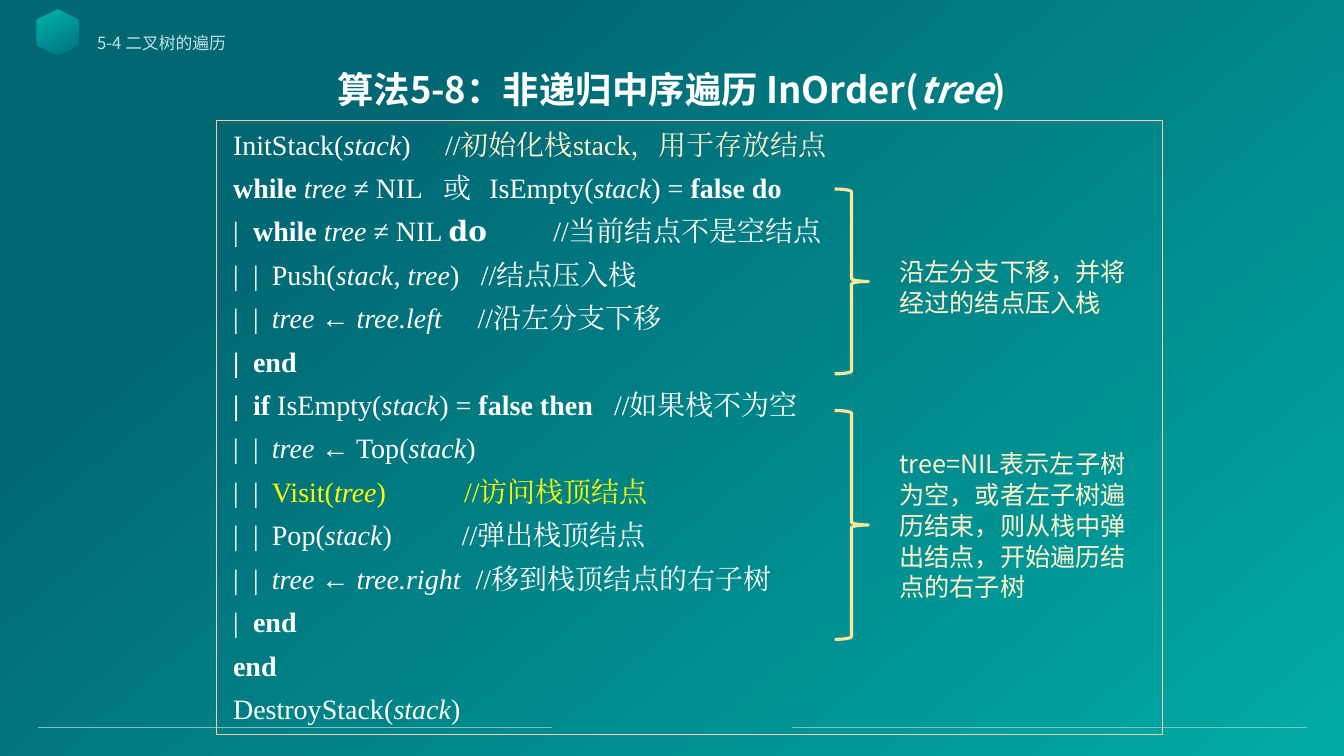
from lxml import etree
from pptx import Presentation
from pptx.dml.color import RGBColor
from pptx.enum.shapes import MSO_CONNECTOR, MSO_SHAPE
from pptx.enum.text import MSO_ANCHOR, PP_ALIGN
from pptx.oxml.ns import qn
from pptx.util import Emu, Pt

STRAIGHT = MSO_CONNECTOR.STRAIGHT
RECTANGLE, HEXAGON, BRACE = MSO_SHAPE.RECTANGLE, MSO_SHAPE.HEXAGON, MSO_SHAPE.RIGHT_BRACE
TOP, MIDDLE = MSO_ANCHOR.TOP, MSO_ANCHOR.MIDDLE
LEFT, CENTER = PP_ALIGN.LEFT, PP_ALIGN.CENTER

SCALE = 9525
SANS, SERIF = "Noto Sans CJK SC", "Times New Roman"
COLORS = {
    "deep": "016773", "teal": "00ABA5", "emblem": "007684", "rule": "7DC2C9",
    "pale": "C1E2E5", "white": "FFFFFF", "cream": "FFF2CC", "yellow": "FFFF00",
    "frame": "F8CBAD", "brace": "FFE699",
}
STYLES = {
    "plain": {}, "bold": {"bold": True}, "italic": {"italic": True},
    "bold italic": {"bold": True, "italic": True},
    "cream": {"color": "cream"}, "yellow": {"color": "yellow"},
    "yellow italic": {"color": "yellow", "italic": True},
}
STACK, TREE = ("stack", "italic"), ("tree", "italic")
TITLE = [("算法5-8：非递归中序遍历 InOrder(", "bold"), ("tree", "bold italic"), (")", "bold")]
GUIDES = [19, 37]
CODE = [
    ([202], ["InitStack(", STACK, ")\t//", ("初始化栈stack，用于存放结点", "cream")]),
    ([200, 244], [("while ", "bold"), ("tree ", "italic"), "≠ NIL\t或\tIsEmpty(", STACK, ") = ",
                  ("false do", "bold")]),
    ([19, 305], ["|\t", ("while ", "bold"), ("tree ", "italic"), "≠ NIL 𝐝𝐨\t//当前结点不是空结点"]),
    (GUIDES + [236], ["|\t|\tPush(", STACK, ", ", TREE, ")\t//结点压入栈"]),
    (GUIDES + [233], ["|\t|\t", TREE, " ← ", ("tree.left", "italic"), "\t//沿左分支下移"]),
    ([19], [("|\tend", "bold")]),
    ([19, 363], [("|\tif ", "bold"), "IsEmpty(", STACK, ") = ", ("false then", "bold"),
                 "\t//如果栈不为空"]),
    (GUIDES, ["|\t|\t", TREE, " ← Top(", STACK, ")"]),
    (GUIDES + [220], ["|\t|\t", ("Visit(", "yellow"), ("tree", "yellow italic"),
                      (")\t//访问栈顶结点", "yellow")]),
    (GUIDES + [218], ["|\t|\tPop(", STACK, ")\t//弹出栈顶结点"]),
    (GUIDES + [231], ["|\t|\t", TREE, " ← ", ("tree.right", "italic"), "\t//移到栈顶结点的右子树"]),
    ([19], ["|\t", ("end", "bold")]),
    ([], [("end", "bold")]),
    ([], ["DestroyStack(", STACK, ")"]),
]
NOTES = [
    ((847, 239, 238, 68), "沿左分支下移，并将经过的结点压入栈"),
    ((847, 422, 238, 156), "tree=NIL表示左子树为空，或者左子树遍历结束，则从栈中弹出结点，开始遍历结点的右子树"),
]


def px(value):
    return Emu(value * SCALE)


def color(name):
    return RGBColor.from_string(COLORS[name])


def set_values(target, values):
    for name, value in values.items():
        setattr(target, name, value)


def add_outline(page, kind, place, line=None, width=1):
    shape = page.shapes.add_shape(kind, *map(px, place))
    shape.shadow.inherit = False
    shape.fill.background()
    if line:
        shape.line.color.rgb = color(line)
        shape.line.width = Pt(width)
    else:
        shape.line.fill.background()
    return shape


def add_gradient(page, kind, place, stops, angle):
    shape = add_outline(page, kind, place)
    shape.fill.gradient()
    shape.fill.gradient_angle = angle
    for stop, (position, name) in zip(shape.fill.gradient_stops, stops):
        stop.position = position
        stop.color.rgb = color(name)
    return shape


def add_rule(page, left, right, y):
    rule = page.shapes.add_connector(STRAIGHT, px(left), px(y), px(right), px(y))
    rule.line.color.rgb = color("rule")
    rule.line.width = Pt(0.5)
    etree.SubElement(rule._element.spPr, qn("a:effectLst"))


def add_tabs(para, stops):
    if stops:
        tabs = etree.SubElement(para._p.get_or_add_pPr(), qn("a:tabLst"))
        for stop in stops:
            etree.SubElement(tabs, qn("a:tab"), pos=str(px(stop)), algn="l")


def add_spans(para, spans, font, size, base):
    for span in spans:
        text, style = (span, "plain") if isinstance(span, str) else span
        values = {"name": font, "size": Pt(size), "color": base, **STYLES[style]}
        run = para.add_run()
        run.text = text
        run.font.color.rgb = color(values.pop("color"))
        set_values(run.font, values)
        etree.SubElement(run._r.get_or_add_rPr(), qn("a:ea"), typeface=font)


def add_text(page, place, spans, size, base, frame_format, para_format):
    box = page.shapes.add_textbox(*map(px, place))
    set_values(box.text_frame, {"word_wrap": True, **frame_format})
    para = box.text_frame.paragraphs[0]
    set_values(para, para_format)
    add_spans(para, spans, SANS, size, base)


def add_code(page, place):
    box = add_outline(page, RECTANGLE, place, "frame", 0.75)
    frame = box.text_frame
    set_values(frame, {"word_wrap": True, "vertical_anchor": TOP,
                       "margin_left": px(16), "margin_top": px(6)})
    for index, (stops, spans) in enumerate(CODE):
        para = frame.add_paragraph() if index else frame.paragraphs[0]
        add_tabs(para, stops)
        set_values(para, {"alignment": LEFT, "line_spacing": Pt(24),
                          "space_before": Pt(1 if index else 0), "space_after": Pt(6)})
        add_spans(para, spans, SERIF, 20, "white")


def main():
    deck = Presentation()
    set_values(deck, {"slide_width": px(1280), "slide_height": px(720)})
    page = deck.slides.add_slide(deck.slide_layouts[6])
    add_gradient(page, RECTANGLE, (0, 0, 1280, 720), [(0.22, "deep"), (1, "teal")], 310)
    for left, right in [(36, 526), (754, 1245)]:
        add_rule(page, left, right, 693)
    emblem = add_gradient(page, HEXAGON, (33, 11, 44, 40), [(0.1, "emblem"), (0.87, "teal")], 210)
    emblem.rotation = 90
    add_text(page, (88, 60, 1104, 55), TITLE, 26, "white",
             {"vertical_anchor": MIDDLE}, {"alignment": CENTER, "line_spacing": 0.9})
    add_text(page, (83, 29, 511, 35), ["5-4 二叉树的遍历"], 12, "pale", {}, {"line_spacing": 0.9})
    add_code(page, (206, 115, 901, 585))
    for top, height in [(180, 176), (391, 218)]:
        add_outline(page, BRACE, (795, top, 32, height), "brace", 2.25)
    for place, text in NOTES:
        add_text(page, place, [text], 18, "cream", {}, {"line_spacing": Pt(22)})
    deck.save("out.pptx")


if __name__ == "__main__":
    main()
